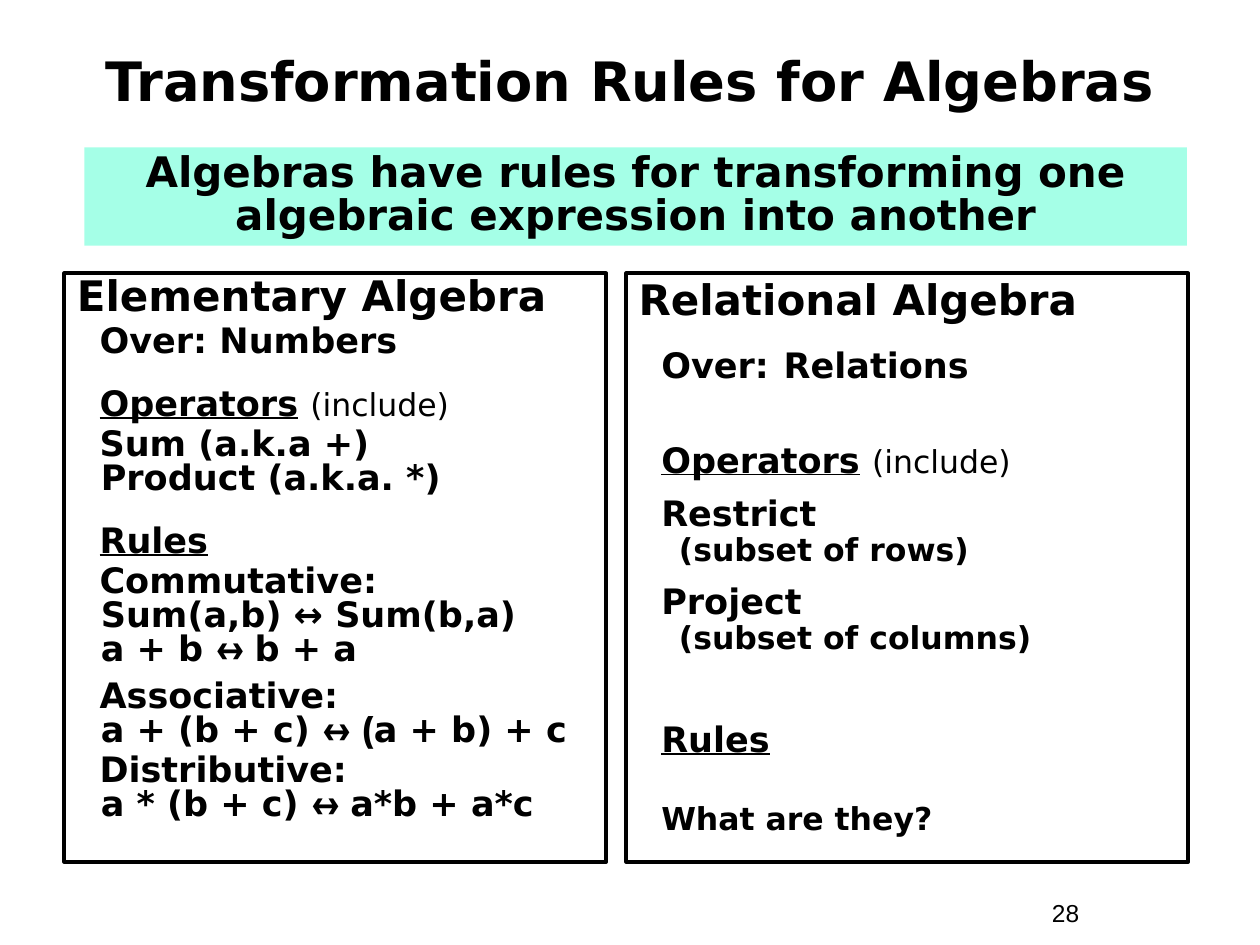
from copy import deepcopy
from dataclasses import dataclass

from lxml import etree
from pptx import Presentation
from pptx.dml.color import RGBColor
from pptx.enum.shapes import MSO_SHAPE
from pptx.enum.text import MSO_ANCHOR, MSO_AUTO_SIZE, PP_ALIGN
from pptx.oxml.ns import qn
from pptx.util import Inches, Pt

RECT = MSO_SHAPE.RECTANGLE
TOP, MIDDLE = MSO_ANCHOR.TOP, MSO_ANCHOR.MIDDLE
LEFT, CENTER = PP_ALIGN.LEFT, PP_ALIGN.CENTER
FIXED = MSO_AUTO_SIZE.NONE


@dataclass
class Theme:
    ink = RGBColor(0, 0, 0)
    mint = RGBColor(0xA5, 0xFF, 0xE7)
    edge = Pt(2.25)
    main = "DejaVu Sans"
    fonts = {
        "title": dict(size=Pt(31)),
        "head": dict(size=Pt(24)),
        "text": dict(size=Pt(20)),
        "under": dict(size=Pt(20), underline=True),
        "note": dict(size=Pt(18), bold=False),
        "sub": dict(size=Pt(18)),
        "arrow": dict(size=Pt(20), name="Montserrat"),
        "page": dict(size=Pt(14), name="Arial", bold=False),
    }


class Deck:
    def __init__(self, theme):
        self.theme = theme
        self.file = Presentation()
        self.file.slide_width, self.file.slide_height = Inches(10), Inches(7.5)
        self.slide = self.file.slides.add_slide(self.file.slide_layouts[1])

    def place(self, shape, box):
        for name, value in zip(("left", "top", "width", "height"), box):
            setattr(shape, name, Inches(value))

    def add_text(self, para, text, kind):
        form = dict(name=self.theme.main, bold=True) | self.theme.fonts[kind]
        for index, line in enumerate(text.split("\n")):
            if index:
                para.add_line_break()
                para._p[-1].append(deepcopy(run._r.rPr))
            run = para.add_run()
            run.text = line
            for name, value in form.items():
                setattr(run.font, name, value)
            run.font.color.rgb = self.theme.ink

    def fill_text(self, shape, paras, pitch=1.0, align=LEFT, anchor=TOP):
        frame = shape.text_frame
        form = dict(word_wrap=True, auto_size=FIXED, vertical_anchor=anchor)
        for name, value in form.items():
            setattr(frame, name, value)
        for index, (gap, inset, runs) in enumerate(paras):
            para = frame.add_paragraph() if index else frame.paragraphs[0]
            form = dict(alignment=align, line_spacing=pitch, space_before=Pt(gap))
            for name, value in form.items():
                setattr(para, name, value)
            props = para._p.get_or_add_pPr()
            for name, value in zip(("marL", "indent"), inset):
                props.set(name, str(Inches(value)))
            etree.SubElement(props, qn("a:buNone"))
            for text, kind in runs:
                self.add_text(para, text, kind)

    def title(self, box, text):
        shape = self.slide.shapes.title
        self.place(shape, box)
        self.fill_text(shape, [(0, (0, 0), [(text, "title")])], align=CENTER, anchor=MIDDLE)

    def frame(self, shape, paras, pitch):
        shape.line.color.rgb = self.theme.ink
        shape.line.width = self.theme.edge
        self.fill_text(shape, paras, pitch)

    def body(self, box, paras, pitch):
        shape = self.slide.placeholders[1]
        self.place(shape, box)
        self.frame(shape, paras, pitch)

    def shape(self, box):
        shape = self.slide.shapes.add_shape(RECT, *map(Inches, box))
        shape.shadow.inherit = False
        return shape

    def panel(self, box, paras, pitch):
        shape = self.shape(box)
        shape.fill.background()
        self.frame(shape, paras, pitch)

    def banner(self, box, text):
        shape = self.shape(box)
        shape.fill.solid()
        shape.fill.fore_color.rgb = self.theme.mint
        shape.line.fill.background()
        self.fill_text(shape, [(0, (0, 0), [(text, "head")])], 0.85, CENTER)

    def label(self, box, text, kind):
        shape = self.slide.shapes.add_textbox(*map(Inches, box))
        self.fill_text(shape, [(0, (0, 0), [(text, kind)])])


HEAD = (0.06, -0.06)
NEAR = (0.19, -0.01)
DEEP = (0.32, -0.14)
OPS = [("Operators", "under"), (" ", "text"), ("(include)", "note")]
RULES = [("Rules", "under")]

NUMBERS = [
    (0, HEAD, [("Elementary Algebra", "head")]),
    (3.7, NEAR, [("Over: Numbers", "text")]),
    (16.8, NEAR, OPS),
    (3.7, NEAR, [("Sum (a.k.a +)\nProduct (a.k.a. *)", "text")]),
    (17.1, NEAR, RULES),
    (3.7, NEAR, [("Commutative:\nSum(a,b) ↔ Sum(b,a)\na + b ", "text"),
                 ("↔ ", "arrow"), ("b + a", "text")]),
    (8, NEAR, [("Associative:\na + (b + c) ", "text"),
               ("↔ (", "arrow"), ("a + b) + c", "text")]),
    (3.7, NEAR, [("Distributive:\na * (b + c) ", "text"),
                 ("↔ ", "arrow"), ("a*b + a*c", "text")]),
]

TABLES = [
    (0, HEAD, [("Relational Algebra", "head")]),
    (10, DEEP, [("Over:", "text"), (" ", "head"), ("Relations", "text")]),
    (31.5, DEEP, OPS),
    (9, DEEP, [("Restrict\n", "text"), ("(subset of rows)", "sub")]),
    (9, DEEP, [("Project\n", "text"), ("(subset of columns)", "sub")]),
    (38, DEEP, RULES),
    (24.5, DEEP, [("What are they?", "sub")]),
]


def main():
    deck = Deck(Theme())
    deck.label((8.25, 7.08, 0.92, 0.34), "28", "page")
    deck.title((0.33, 0.17, 9.33, 0.92), "Transformation Rules for Algebras")
    deck.body((0.51, 2.17, 4.3, 4.67), NUMBERS, 0.8)
    deck.panel((4.97, 2.17, 4.46, 4.67), TABLES, 0.9)
    deck.banner((0.67, 1.17, 8.75, 0.78),
                "Algebras have rules for transforming one algebraic expression into another")
    deck.file.save("out.pptx")


if __name__ == "__main__":
    main()
